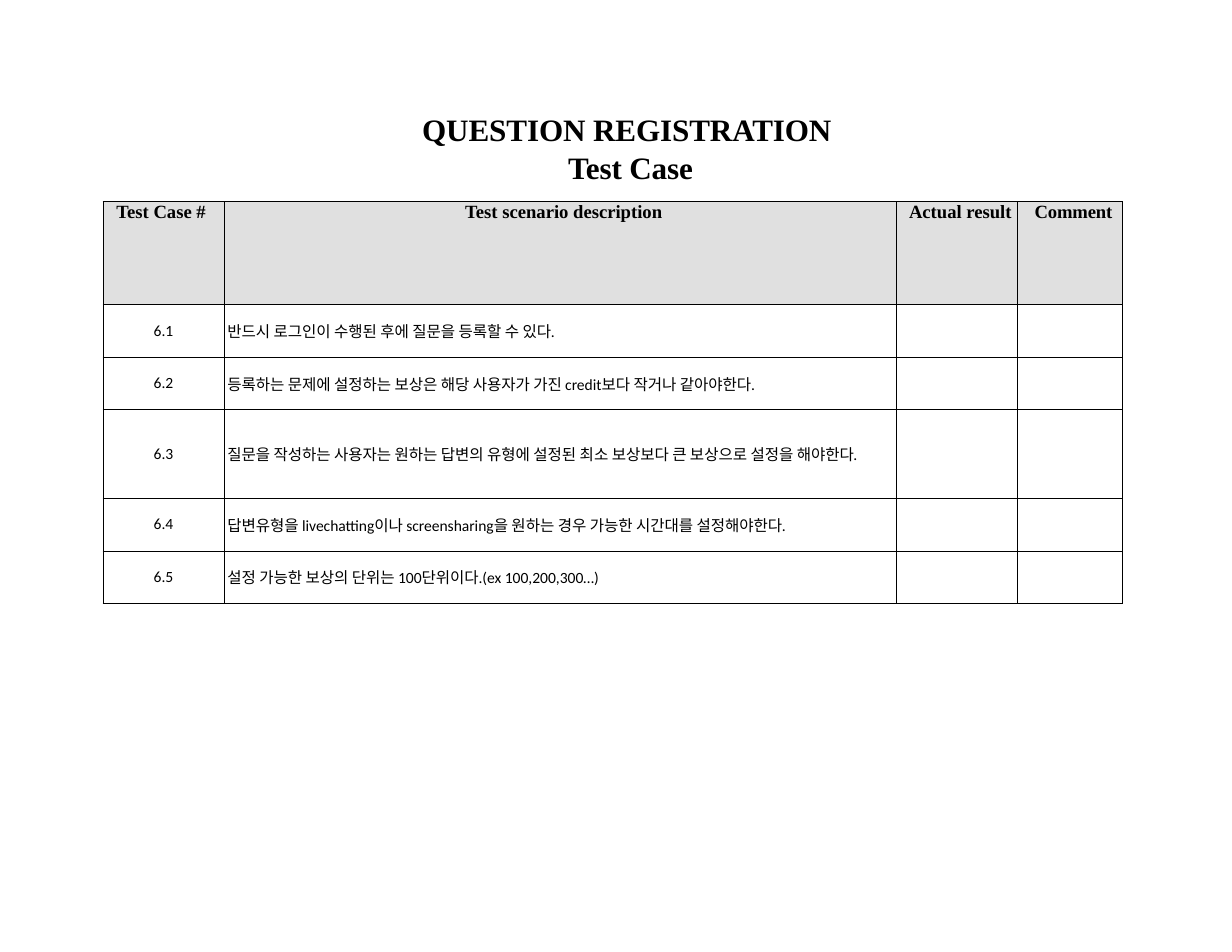
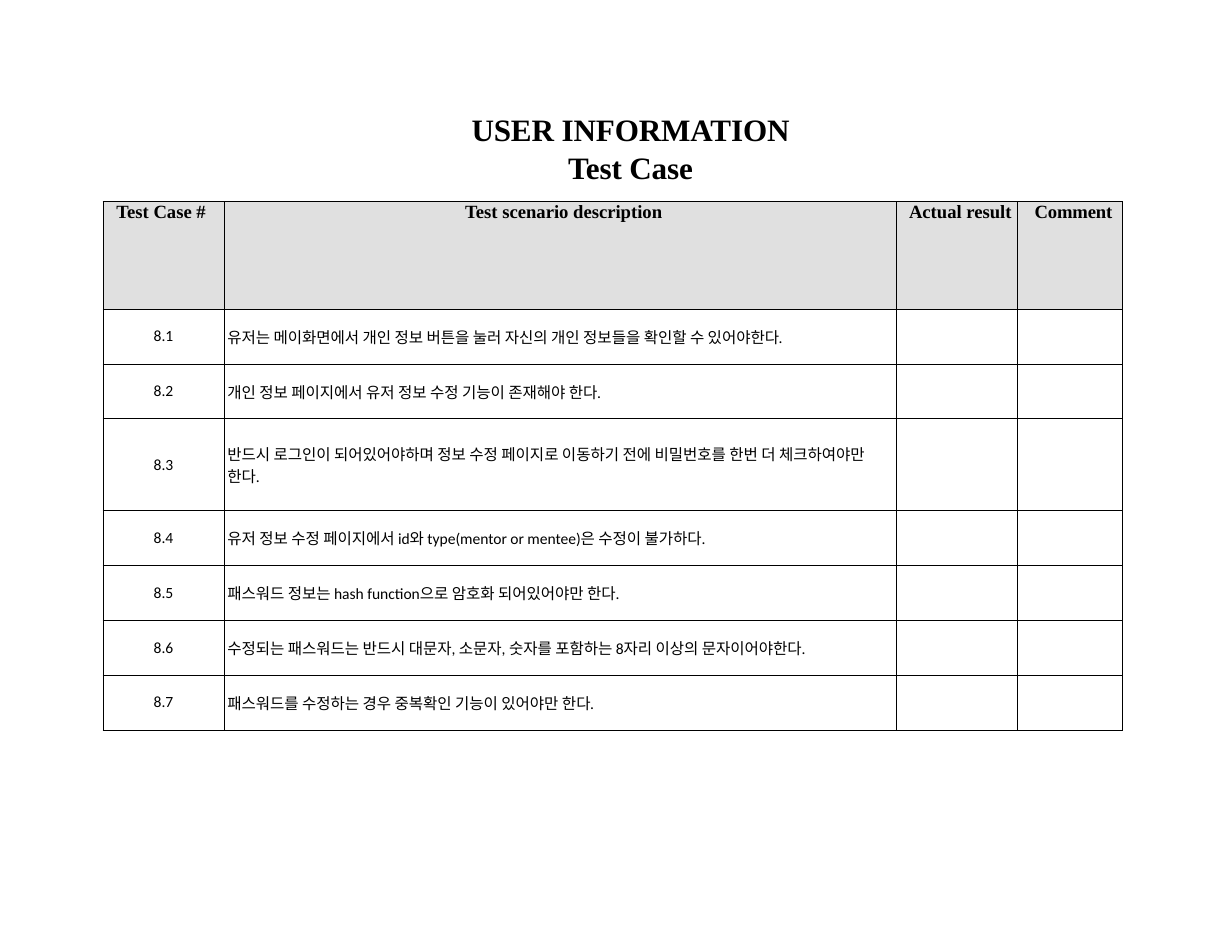
from dataclasses import dataclass

from lxml.etree import SubElement
from pptx import Presentation
from pptx.dml.color import RGBColor
from pptx.enum.text import MSO_ANCHOR as Anchor, MSO_AUTO_SIZE as AutoSize, PP_ALIGN as Align
from pptx.oxml.ns import qn
from pptx.util import Inches, Pt


@dataclass(frozen=True)
class Theme:
    ink: str = "000000"
    header_fill: str = "E0E0E0"
    heading_font: str = "Times New Roman"
    body_font: str = "Calibri"
    title_size: int = 20
    header_size: int = 12
    body_size: int = 10
    border_width: float = 0.5


theme = Theme()

HEADERS = ["Test Case # ", "Test scenario description", "Actual result", "Comment"]
COLUMN_WIDTHS = [1.08, 6, 1.08, 0.94]
TALL_ROW = 3

TEST_SUITES = [
    {
        "title": "QUESTION REGISTRATION \vTest Case",
        "number": 6,
        "header_height": 0.92,
        "row_height": 0.47,
        "tall_height": 0.79,
        "scenarios": [
            "반드시 로그인이 수행된 후에 질문을 등록할 수 있다.",
            "등록하는 문제에 설정하는 보상은 해당 사용자가 가진 credit보다 작거나 같아야한다.",
            "질문을 작성하는 사용자는 원하는 답변의 유형에 설정된 최소 보상보다 큰 보상으로 설정을 해야한다.",
            "답변유형을 livechatting이나 screensharing을 원하는 경우 가능한 시간대를 설정해야한다.",
            "설정 가능한 보상의 단위는 100단위이다.(ex 100,200,300…)",
        ],
    },
    {
        "title": "USER INFORMATION\vTest Case",
        "number": 8,
        "header_height": 0.96,
        "row_height": 0.49,
        "tall_height": 0.82,
        "scenarios": [
            "유저는 메이화면에서 개인 정보 버튼을 눌러 자신의 개인 정보들을 확인할 수 있어야한다.",
            "개인 정보 페이지에서 유저 정보 수정 기능이 존재해야 한다.",
            "반드시 로그인이 되어있어야하며 정보 수정 페이지로 이동하기 전에 비밀번호를 한번 더 체크하여야만 한다.",
            "유저 정보 수정 페이지에서 id와 type(mentor or mentee)은 수정이 불가하다.",
            "패스워드 정보는 hash function으로 암호화 되어있어야만 한다.",
            "수정되는 패스워드는 반드시 대문자, 소문자, 숫자를 포함하는 8자리 이상의 문자이어야한다.",
            "패스워드를 수정하는 경우 중복확인 기능이 있어야만 한다.",
        ],
    },
]


def write_text(frame, text, *, size, font, bold=False, align=Align.LEFT,
               indent=0, before=0, line_spacing=None, tracking=0):
    """Fill a text frame with one paragraph; tracking is in points."""
    paragraph = frame.paragraphs[0]
    paragraph.text = text
    paragraph.alignment = align
    paragraph.space_before = Pt(before)
    if line_spacing:
        paragraph.line_spacing = Pt(line_spacing)
    properties = paragraph._p.get_or_add_pPr()
    properties.set("marL", str(Inches(indent)))
    properties.set("indent", "0")
    for run in paragraph.runs:
        run.font.size = Pt(size)
        run.font.name = font
        run.font.bold = bold
        run.font.color.rgb = RGBColor.from_string(theme.ink)
        run._r.get_or_add_rPr().set("spc", str(round(tracking * 100)))


def style_cell(cell, *, fill=None, anchor=Anchor.MIDDLE, side_margin=0.03):
    """Set margins, the four borders and the fill of a table cell."""
    cell.margin_left = cell.margin_right = Inches(side_margin)
    cell.margin_top = cell.margin_bottom = 0
    cell.vertical_anchor = anchor
    properties = cell._tc.get_or_add_tcPr()
    for side in ("a:lnL", "a:lnR", "a:lnT", "a:lnB"):
        line = SubElement(properties, qn(side), w=str(Pt(theme.border_width)))
        solid = SubElement(line, qn("a:solidFill"))
        SubElement(solid, qn("a:srgbClr"), val=theme.ink)
    if fill:
        cell.fill.solid()
        cell.fill.fore_color.rgb = RGBColor.from_string(fill)
    else:
        cell.fill.background()


presentation = Presentation()
presentation.slide_width = Inches(11)
presentation.slide_height = Inches(8.5)
title_only = presentation.slide_layouts[5]

for suite in TEST_SUITES:
    slide = presentation.slides.add_slide(title_only)

    title = slide.shapes.title
    title.left, title.top = Inches(3.75), Inches(0.98)
    title.width, title.height = Inches(3.75), Inches(0.69)
    frame = title.text_frame
    frame.margin_left = frame.margin_right = frame.margin_bottom = 0
    frame.margin_top = Inches(0.01)
    frame.vertical_anchor = Anchor.TOP
    frame.word_wrap = True
    frame.auto_size = AutoSize.SHAPE_TO_FIT_TEXT
    write_text(frame, suite["title"], size=theme.title_size, font=theme.heading_font,
               bold=True, align=Align.CENTER, indent=0.01, before=0.9, tracking=-0.1)

    row_heights = [suite["header_height"]] + [suite["row_height"]] * len(suite["scenarios"])
    row_heights[TALL_ROW] = suite["tall_height"]
    table = slide.shapes.add_table(
        len(row_heights), len(COLUMN_WIDTHS), Inches(0.92), Inches(1.8),
        Inches(sum(COLUMN_WIDTHS)), Inches(sum(row_heights))).table
    table.first_row = table.horz_banding = False
    for column, width in zip(table.columns, COLUMN_WIDTHS):
        column.width = Inches(width)
    for row, height in zip(table.rows, row_heights):
        row.height = Inches(height)

    for index, header in enumerate(HEADERS):
        cell = table.cell(0, index)
        style_cell(cell, fill=theme.header_fill, anchor=Anchor.TOP, side_margin=0)
        write_text(cell.text_frame, header, size=theme.header_size, font=theme.heading_font,
                   bold=True, align=Align.CENTER, line_spacing=13.8,
                   indent=0.07 if index else 0,
                   before=0.3 if header == "Actual result" else 0,
                   tracking=-0.1 if header == "Comment" else 0)

    for number, scenario in enumerate(suite["scenarios"], start=1):
        for cell in table.rows[number].cells:
            style_cell(cell)
        write_text(table.cell(number, 0).text_frame, f"{suite['number']}.{number}",
                   size=theme.body_size, font=theme.body_font, align=Align.CENTER)
        write_text(table.cell(number, 1).text_frame, scenario,
                   size=theme.body_size, font=theme.body_font)

presentation.save("out.pptx")
